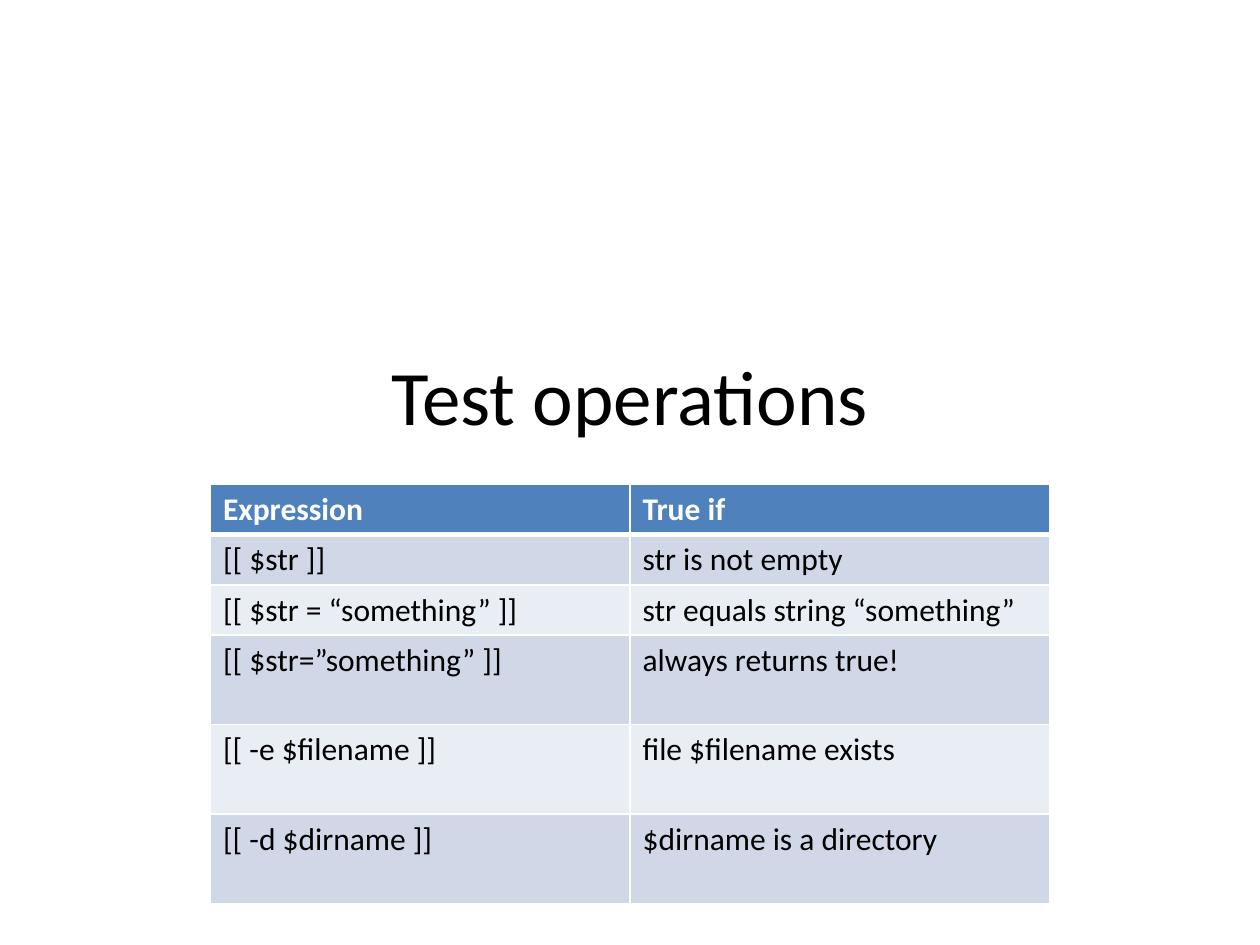
from lxml import etree
from pptx import Presentation
from pptx.dml.color import RGBColor
from pptx.enum.text import MSO_ANCHOR, PP_ALIGN
from pptx.oxml.ns import qn
from pptx.util import Inches, Pt

CENTER, LEFT = PP_ALIGN.CENTER, PP_ALIGN.LEFT
MIDDLE, TOP = MSO_ANCHOR.MIDDLE, MSO_ANCHOR.TOP
BLACK = RGBColor(0x00, 0x00, 0x00)
WHITE = RGBColor(0xFF, 0xFF, 0xFF)
HEADER_BLUE = RGBColor(0x4F, 0x81, 0xBD)
BANDS = [RGBColor(0xD0, 0xD8, 0xE8), RGBColor(0xE9, 0xED, 0xF4)]
FONT = "Calibri"

# Content
TITLE = "Test operations"
OPERATIONS = [
    ("Expression", "True if"),
    ("[[ $str ]]", "str is not empty"),
    ("[[ $str = “something” ]]", "str equals string “something”"),
    ("[[ $str=”something” ]]", "always returns true!"),
    ("[[ -e $filename ]]", "file $filename exists"),
    ("[[ -d $dirname ]]", "$dirname is a directory"),
]
ROW_HEIGHTS = [0.4] * 3 + [0.71] * 3
TABLE_LEFT, TABLE_TOP, TABLE_WIDTH = 1.67, 3.84, 6.66


def write_text(frame, text, size=18, color=BLACK, bold=False, align=LEFT):
    frame.word_wrap = True
    paragraph = frame.paragraphs[0]
    paragraph.alignment = align
    run = paragraph.add_run()
    run.text = text
    run.font.name = FONT
    run.font.size = Pt(size)
    run.font.bold = bold
    run.font.color.rgb = color


def add_borders(cell, widths):
    """Draw white cell borders; widths maps a side (L, R, T, B) to points."""
    properties = cell._tc.get_or_add_tcPr()
    for side, width in widths.items():
        line = etree.SubElement(properties, qn(f"a:ln{side}"), w=str(Pt(width)))
        fill = etree.SubElement(line, qn("a:solidFill"))
        etree.SubElement(fill, qn("a:srgbClr"), val=str(WHITE))


prs = Presentation()
prs.slide_width, prs.slide_height = Inches(10), Inches(7.5)
slide = prs.slides.add_slide(prs.slide_layouts[6])

# Title
title = slide.shapes.add_textbox(Inches(0.75), Inches(2.33), Inches(8.5), Inches(1.61))
title.text_frame.vertical_anchor = MIDDLE
write_text(title.text_frame, TITLE, size=44, align=CENTER)

# Table of test expressions
table = slide.shapes.add_table(
    len(OPERATIONS), len(OPERATIONS[0]), Inches(TABLE_LEFT), Inches(TABLE_TOP),
    Inches(TABLE_WIDTH), Inches(sum(ROW_HEIGHTS))).table
for r, (operation, height) in enumerate(zip(OPERATIONS, ROW_HEIGHTS)):
    table.rows[r].height = Inches(height)
    is_header = r == 0
    for c, text in enumerate(operation):
        cell = table.cell(r, c)
        cell.vertical_anchor = TOP
        add_borders(cell, {"L": 1, "R": 1, "T": 3 if r == 1 else 1,
                           "B": 3 if is_header else 1})
        cell.fill.solid()
        cell.fill.fore_color.rgb = HEADER_BLUE if is_header else BANDS[(r - 1) % 2]
        write_text(cell.text_frame, text, bold=is_header,
                   color=WHITE if is_header else BLACK)

prs.save("out.pptx")
